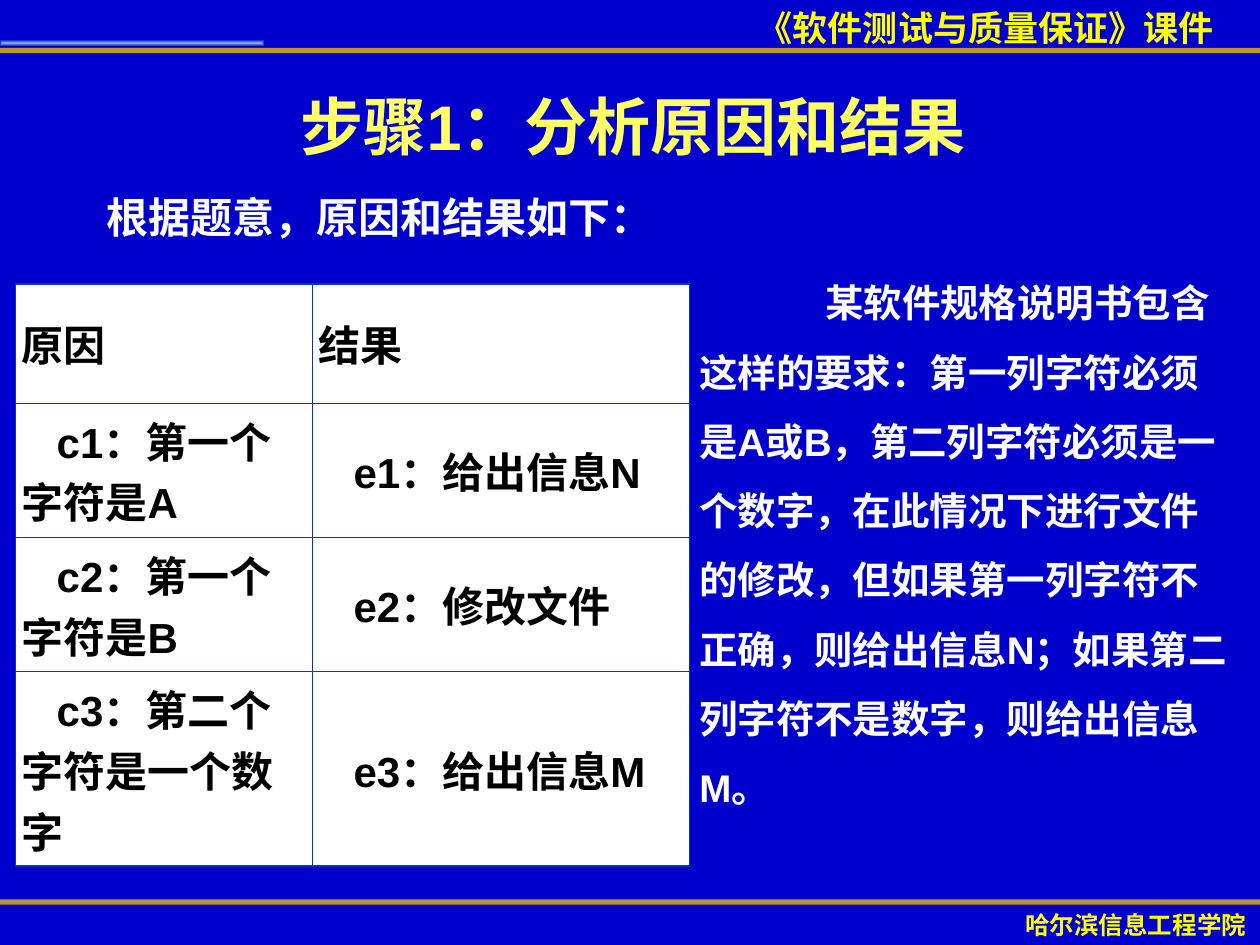
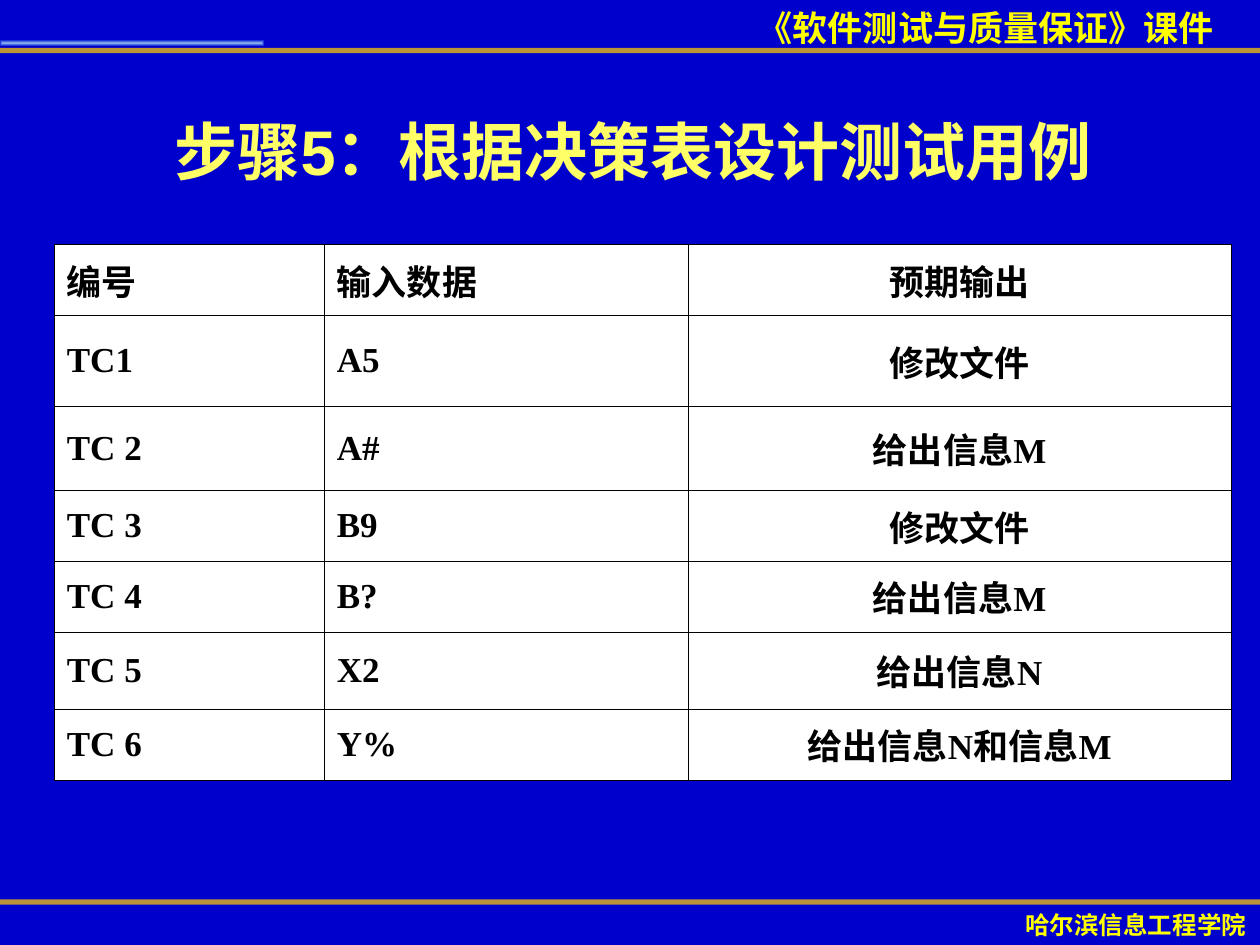
"""Build two course slides on cause-effect test design."""
from dataclasses import dataclass

from lxml import etree
from pptx import Presentation
from pptx.dml.color import RGBColor
from pptx.enum import shapes, text
from pptx.oxml import parse_xml
from pptx.oxml.ns import nsdecls, qn
from pptx.util import Pt


@dataclass(frozen=True)
class Theme:
    back: str = "0000CC"
    gold: str = "FFCC00"
    band: str = "FFFF00"
    head: str = "FFFF66"
    light: str = "FFFFFF"
    dark: str = "000000"
    edge: str = "0033CC"
    sans: str = "Arial"
    serif: str = "Times New Roman"
    title: int = 36
    body: int = 24
    note: int = 22
    top: int = 20
    foot: int = 14


theme = Theme()
CENTER = text.PP_ALIGN.CENTER
MIDDLE = text.MSO_ANCHOR.MIDDLE


def write(frame, words, size, color, font=theme.sans, align=None):
    frame.word_wrap = True
    para = frame.paragraphs[0]
    para.alignment = align
    run = para.add_run()
    run.text = words
    run.font.size = Pt(size)
    run.font.bold = True
    run.font.name = font
    run.font.color.rgb = RGBColor.from_string(color)
    return para


def grid(slide, spot, cols, rows, data, size, font, edge, rim, pad):
    frame = slide.shapes.add_table(len(rows), len(cols), Pt(spot[0]), Pt(spot[1]),
                                   Pt(sum(cols)), Pt(sum(rows)))
    table = frame.table
    table.first_row = table.horz_banding = False
    for col, wide in zip(table.columns, cols):
        col.width = Pt(wide)
    for row, high in zip(table.rows, rows):
        row.height = Pt(high)
    for i, line in enumerate(data):
        for j, words in enumerate(line):
            cell = table.cell(i, j)
            outer = {"L": j == 0, "R": j == len(cols) - 1,
                     "T": i == 0, "B": i == len(rows) - 1}
            for side, out in outer.items():
                width = Pt(rim if out else 0.45)
                cell._tc.get_or_add_tcPr().append(parse_xml(
                    f'<a:ln{side} {nsdecls("a")} w="{width}"><a:solidFill>'
                    f'<a:srgbClr val="{edge}"/></a:solidFill></a:ln{side}>'))
            cell.fill.solid()
            cell.fill.fore_color.rgb = RGBColor.from_string(theme.light)
            cell.vertical_anchor = MIDDLE
            cell.margin_left = cell.margin_right = Pt(pad)
            cell.margin_top = cell.margin_bottom = Pt(3.6)
            write(cell.text_frame, words, size, theme.dark, font,
                  CENTER if j == 2 else None)
    return table


deck = Presentation()
deck.slide_width, deck.slide_height = Pt(720), Pt(540)
fill = deck.slide_master.background.fill
fill.solid()
fill.fore_color.rgb = RGBColor.from_string(theme.back)

heads = [
    ("步骤1：分析原因和结果", 37.5, 68.5),
    ("步骤5：根据决策表设计测试用例", 49, 73.5),
]
bands = [
    ("《软件测试与质量保证》课件", 426, 0, 294, 32, theme.top, None),
    ("哈尔滨信息工程学院", 564, 516.5, 170, 24.5, theme.foot, CENTER),
]
slides = []
for words, top, high in heads:
    slide = deck.slides.add_slide(deck.slide_layouts[5])
    slides.append(slide)

    for y in (28.8, 515.5):
        rule = slide.shapes.add_connector(shapes.MSO_CONNECTOR.STRAIGHT,
                                          Pt(0), Pt(y), Pt(720), Pt(y))
        rule.line.width = Pt(3)
        rule.line.color.rgb = RGBColor.from_string(theme.gold)
        tint = rule._element.spPr.find(".//" + qn("a:srgbClr"))
        etree.SubElement(tint, qn("a:alpha"), val="72000")
        etree.SubElement(rule._element.spPr, qn("a:effectLst"))

    glow = slide.shapes.add_shape(shapes.MSO_SHAPE.RECTANGLE,
                                  Pt(0), Pt(23), Pt(150.5), Pt(3))
    glow.shadow.inherit = False
    glow.line.fill.background()
    glow._element.spPr.find(qn("a:prstGeom")).addnext(parse_xml(
        f'<a:gradFill {nsdecls("a")}><a:gsLst>'
        '<a:gs pos="0"><a:srgbClr val="C3EBFF"><a:alpha val="82000"/></a:srgbClr></a:gs>'
        '<a:gs pos="100000"><a:srgbClr val="66CCFF"><a:alpha val="18000"/></a:srgbClr></a:gs>'
        '</a:gsLst><a:path path="rect"><a:fillToRect l="50000" t="50000" r="50000" '
        'b="50000"/></a:path></a:gradFill>'))

    for label, x, y, wide, tall, size, align in bands:
        box = slide.shapes.add_textbox(Pt(x), Pt(y), Pt(wide), Pt(tall))
        write(box.text_frame, label, size, theme.band, align=align)

    title = slide.shapes.title
    title.left, title.top, title.width, title.height = Pt(25.5), Pt(top), Pt(672.5), Pt(high)
    title.text_frame.vertical_anchor = MIDDLE
    write(title.text_frame, words, theme.title, theme.head, align=CENTER)

first, last = slides

lead = first.shapes.add_textbox(Pt(54), Pt(111.5), Pt(521), Pt(45.5))
para = write(lead.text_frame, "根据题意，原因和结果如下：", theme.body, theme.light)
para.line_spacing = 0.8

causes = [
    ("原因", "结果"),
    ("c1：第一个字符是A", "e1：给出信息N"),
    ("c2：第一个字符是B", "e2：修改文件"),
    ("c3：第二个字符是一个数字", "e3：给出信息M"),
]
table = grid(first, (8.8, 162.3), (169.7, 215.5), (68, 76.8, 76.8, 111), causes,
             theme.body, theme.sans, theme.edge, 1.08, 3.6)
for i in range(1, len(causes)):
    for cell in table.rows[i].cells:
        cell.text_frame.paragraphs[0]._p.get_or_add_pPr().set("indent", str(Pt(20)))

note = first.shapes.add_textbox(Pt(365.5), Pt(143), Pt(342.5), Pt(335))
para = write(
    note.text_frame,
    "某软件规格说明书包含这样的要求：第一列字符必须是A或B，第二列字符必须是一个数字，"
    "在此情况下进行文件的修改，但如果第一列字符不正确，则给出信息N；"
    "如果第二列字符不是数字，则给出信息M。",
    theme.note, theme.light)
para.line_spacing = 1.5
props = para._p.get_or_add_pPr()
props.set("marL", str(Pt(27)))
props.set("indent", str(Pt(72)))

cases = [
    ("编号", "输入数据", "预期输出"),
    ("TC1", "A5", "修改文件"),
    ("TC 2", "A#", "给出信息M"),
    ("TC 3", "B9", "修改文件"),
    ("TC 4", "B?", "给出信息M"),
    ("TC 5", "X2", "给出信息N"),
    ("TC 6", "Y%", "给出信息N和信息M"),
]
grid(last, (31, 139.7), (154.3, 208, 310.2), (40.5, 52, 48, 40.5, 40.5, 44, 40.7), cases,
     theme.top, theme.serif, theme.dark, 0.45, 7.2)

deck.save("out.pptx")
